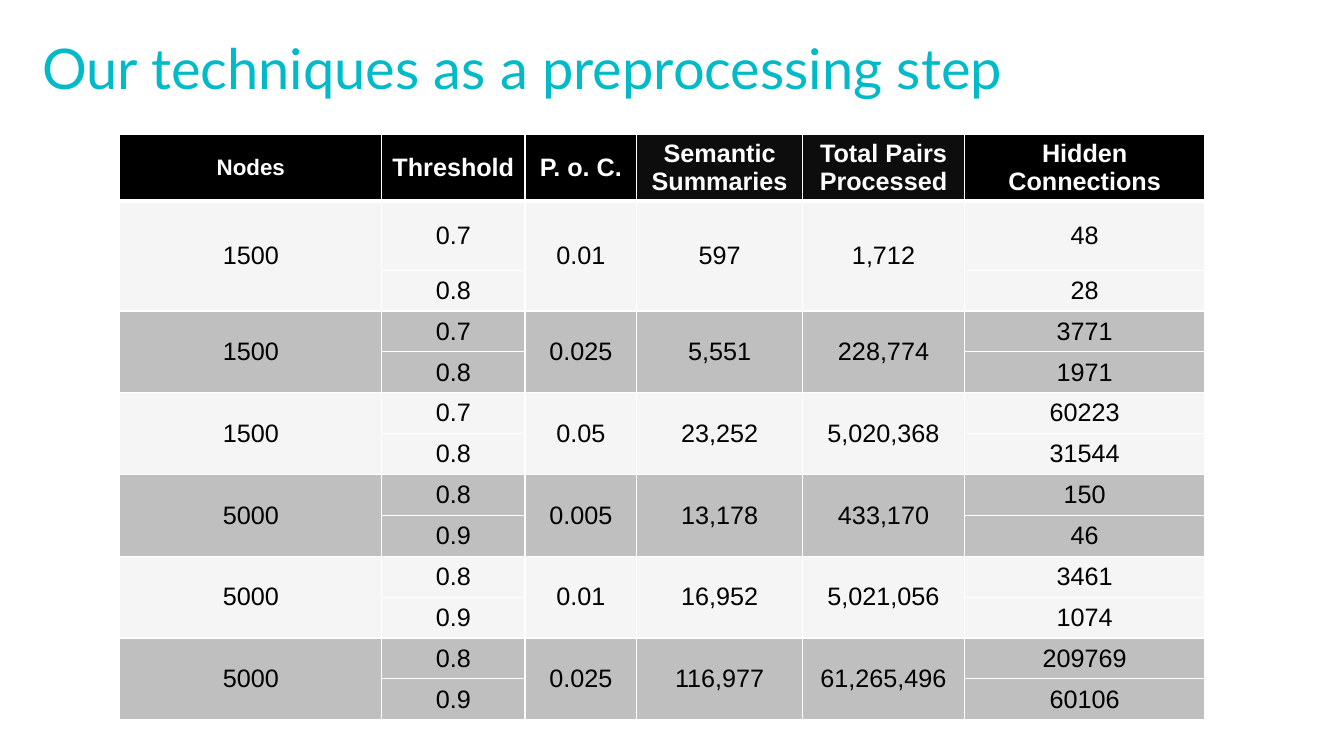
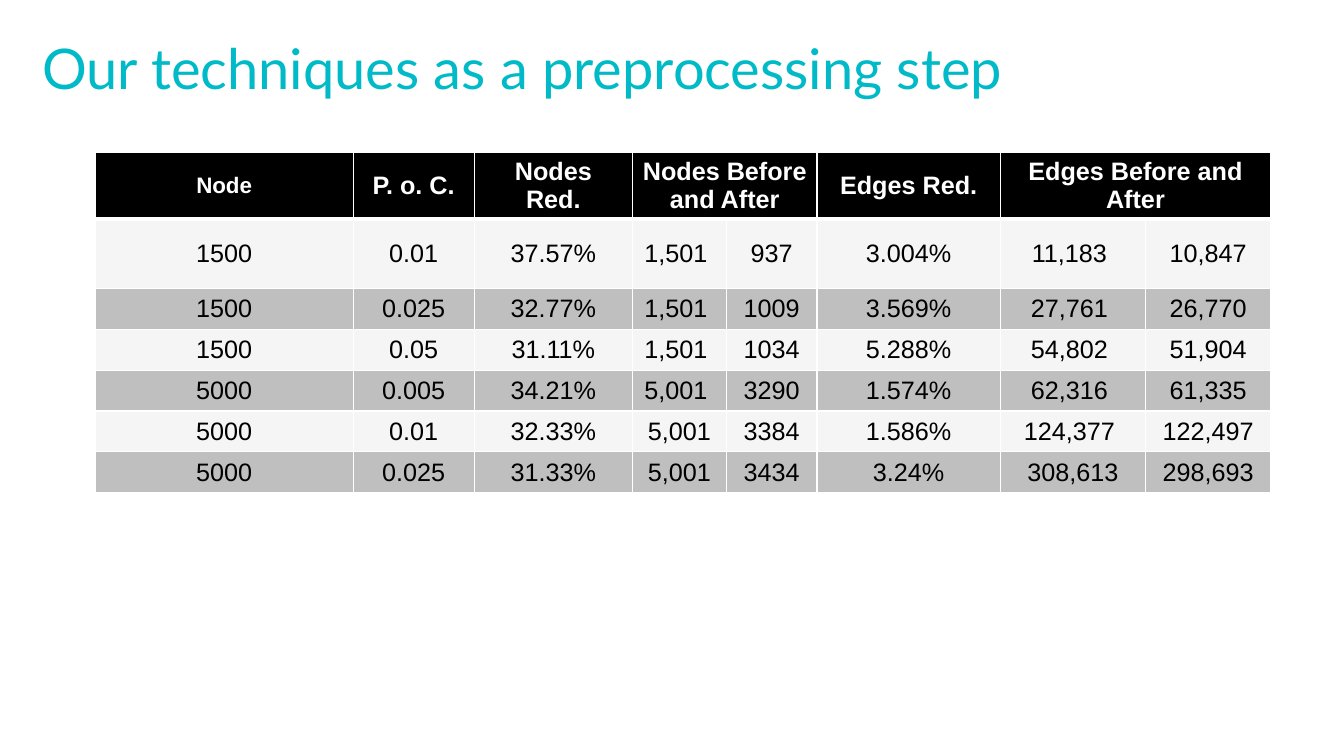
from lxml.etree import SubElement
from pptx import Presentation
from pptx.dml.color import RGBColor
from pptx.enum.text import MSO_ANCHOR as ANCHOR, MSO_AUTO_SIZE as AUTO, PP_ALIGN as ALIGN
from pptx.oxml.ns import qn
from pptx.util import Cm, Pt

TITLE = "Our techniques as a preprocessing step"


def rgb(value):
    return RGBColor.from_string(value)


def put_text(tf, text, size=18, color="000000", bold=False, font="Arial", align=ALIGN.CENTER):
    p = tf.paragraphs[0]
    p.alignment = align
    r = p.add_run()
    r.text = text
    r.font.name, r.font.size, r.font.bold = font, Pt(size), bold
    r.font.color.rgb = rgb(color)


class Deck:
    ACCENT, HEAD, HEAD_SOFT, WHITE = "00BAC8", "000000", "0D0D0D", "FFFFFF"
    BANDS = ("F5F5F5", "BFBFBF")
    ROW_H, FIRST_ROW_H = 1.03, 1.75

    def __init__(self):
        self.prs = Presentation()
        self.prs.slide_width, self.prs.slide_height = Cm(33.87), Cm(19.05)

    def add_slide(self, title):
        self.s = self.prs.slides.add_slide(self.prs.slide_layouts[5])
        sp = self.s.shapes.title
        sp.left, sp.top, sp.width, sp.height = Cm(0.81), Cm(-1.02), Cm(29.21), Cm(3.68)
        tf = sp.text_frame
        tf.word_wrap, tf.auto_size = True, AUTO.NONE
        tf.vertical_anchor = ANCHOR.BOTTOM
        put_text(tf, title, size=40, color=self.ACCENT, font="Lato", align=ALIGN.LEFT)

    def borders(self, cell, top, bottom):
        """Draw white cell borders; they must precede the fill in tcPr."""
        tc_pr = cell._tc.get_or_add_tcPr()
        for i, (side, width) in enumerate((("L", 1), ("R", 1), ("T", top), ("B", bottom))):
            ln = SubElement(tc_pr, qn(f"a:ln{side}"), w=str(Pt(width)))
            fill = SubElement(ln, qn("a:solidFill"))
            SubElement(fill, qn("a:srgbClr"), val=self.WHITE)
            tc_pr.insert(i, ln)

    def table(self, left, top, widths, rows, band=1, soft=()):
        """None joins a header cell to its left and a body cell to the one above.

        band is the number of rows per colour band; soft lists the
        header columns with no margins and a softer black.
        """
        heights = [self.ROW_H, self.FIRST_ROW_H] + [self.ROW_H] * (len(rows) - 2)
        tbl = self.s.shapes.add_table(len(rows), len(widths), Cm(left), Cm(top),
                                      Cm(sum(widths)), Cm(sum(heights))).table
        tbl.horz_banding = False
        for col, width in zip(tbl.columns, widths):
            col.width = Cm(width)
        for row, height in zip(tbl.rows, heights):
            row.height = Cm(height)

        for y, values in enumerate(rows):
            head = y == 0
            for x, text in enumerate(values):
                cell = tbl.cell(y, x)
                cell.vertical_anchor = ANCHOR.MIDDLE
                fill = self.HEAD if head else self.BANDS[(y - 1) // band % 2]
                if head and x in soft:
                    fill = self.HEAD_SOFT
                    cell.margin_left = cell.margin_right = 0
                    cell.margin_top = cell.margin_bottom = 0
                cell.fill.solid()
                cell.fill.fore_color.rgb = rgb(fill)
                self.borders(cell, top=3 if y == 1 else 1, bottom=3 if head else 1)
                if text is None:
                    (tbl.cell(y, x - 1) if head else tbl.cell(y - 1, x)).merge(cell)
                else:
                    put_text(cell.text_frame, text, size=16 if head and x == 0 else 18,
                             color=self.WHITE if head else "000000", bold=head)


def main():
    deck = Deck()

    # Hidden connections: two thresholds for each setting
    settings = [
        ("1500", "0.01", "597", "1,712", ("0.7", "48"), ("0.8", "28")),
        ("1500", "0.025", "5,551", "228,774", ("0.7", "3771"), ("0.8", "1971")),
        ("1500", "0.05", "23,252", "5,020,368", ("0.7", "60223"), ("0.8", "31544")),
        ("5000", "0.005", "13,178", "433,170", ("0.8", "150"), ("0.9", "46")),
        ("5000", "0.01", "16,952", "5,021,056", ("0.8", "3461"), ("0.9", "1074")),
        ("5000", "0.025", "116,977", "61,265,496", ("0.8", "209769"), ("0.9", "60106")),
    ]
    rows = [("Nodes", "Threshold", "P. o. C.", "Semantic Summaries",
             "Total Pairs Processed", "Hidden Connections")]
    for nodes, poc, summaries, pairs, low, high in settings:
        rows.append((nodes, low[0], poc, summaries, pairs, low[1]))
        rows.append((None, high[0], None, None, None, high[1]))
    deck.add_slide(TITLE)
    deck.table(3.02, 3.38, (6.6, 3.61, 2.82, 4.17, 4.09, 6.05), rows, band=2, soft=(3, 4))

    # Node and edge reduction
    rows = [
        ("Node", "P. o. C.", "Nodes Red.", "Nodes Before and After", None,
         "Edges Red.", "Edges Before and After", None),
        ("1500", "0.01", "37.57%", "1,501 ", "937", "3.004%", "11,183 ", "10,847"),
        ("1500", "0.025", "32.77%", "1,501 ", "1009", "3.569%", "27,761 ", "26,770"),
        ("1500", "0.05", "31.11%", "1,501 ", "1034", "5.288%", "54,802 ", "51,904"),
        ("5000", "0.005", "34.21%", "5,001 ", "3290", "1.574%", "62,316 ", "61,335"),
        ("5000", "0.01", "32.33%", "5,001", "3384", "1.586%", "124,377 ", "122,497"),
        ("5000", "0.025", "31.33%", "5,001", "3434", "3.24%", "308,613", "298,693"),
    ]
    deck.add_slide(TITLE)
    deck.table(2.4, 3.84, (6.5, 3.05, 3.99, 2.36, 2.29, 4.62, 3.66, 3.15), rows)

    deck.prs.save("out.pptx")


if __name__ == "__main__":
    main()
